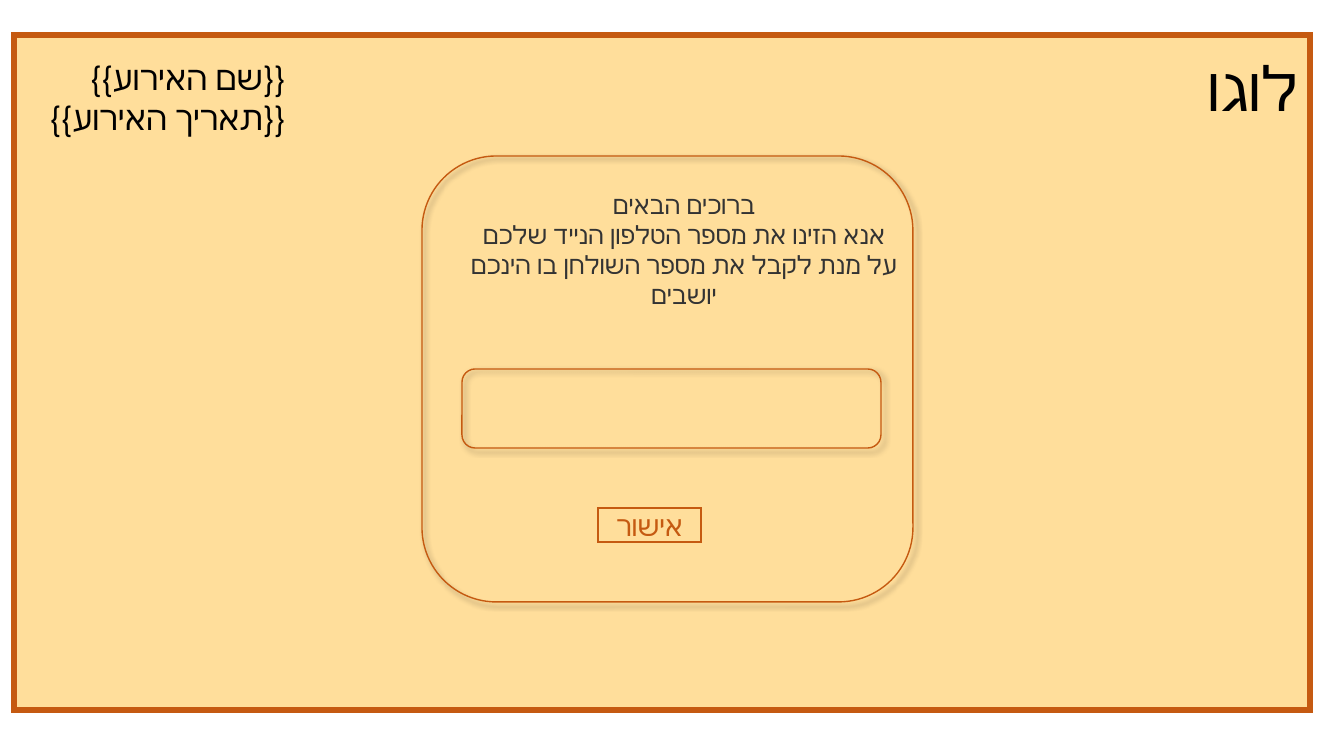
from dataclasses import dataclass

from lxml.etree import SubElement
from pptx import Presentation
from pptx.dml.color import RGBColor
from pptx.enum.shapes import MSO_SHAPE as Kind
from pptx.enum.text import MSO_ANCHOR as Anchor, MSO_AUTO_SIZE as Fit, PP_ALIGN as Align
from pptx.oxml.ns import qn
from pptx.util import Emu, Pt

SCALE = 914400 / 100.8
HUES = {"cream": "FFDE9B", "rust": "C55A11", "ink": "000000",
        "gray": "333333", "edge": "D0CECE"}


@dataclass
class Box:
    """A place on the slide, in pixels."""
    left: int
    top: int
    width: int
    height: int

    def emu(self) -> list[Emu]:
        """Give the four lengths in EMU."""
        return [px(n) for n in (self.left, self.top, self.width, self.height)]


@dataclass
class Panel:
    """An outlined shape, plain or filled."""
    box: Box
    kind: Kind
    line: float
    fill: str | None = None
    shade: bool = False


@dataclass
class Label:
    """A free block of text."""
    box: Box
    text: str
    size: int
    hue: str = "ink"
    font: str = "Calibri"
    align: Align = Align.RIGHT


def px(count: int) -> Emu:
    """Turn pixels into EMU."""
    return Emu(round(count * SCALE))


def color(name: str) -> RGBColor:
    """Look up a named colour."""
    return RGBColor.from_string(HUES[name])


def write(frame, text: str, *, size: int, hue: str, font: str = "Calibri",
          align: Align = Align.RIGHT, edge: str | None = None) -> None:
    """Put right-to-left text in a frame and format it."""
    frame.word_wrap = True
    para = frame.paragraphs[0]
    para.text = text
    para.alignment = align
    para._p.get_or_add_pPr().set("rtl", "1")
    for run in para.runs:
        run.font.size = Pt(size)
        run.font.color.rgb = color(hue)
        run.font.name = font
        props = run._r.get_or_add_rPr()
        props.set("lang", "he-IL")
        if edge:
            line = SubElement(props, qn("a:ln"), w=str(Pt(0.75)))
            fill = SubElement(line, qn("a:solidFill"))
            SubElement(fill, qn("a:srgbClr"), val=HUES[edge])
            props.insert(0, line)


def cast(shape) -> None:
    """Give a shape a soft shadow to the lower right."""
    list_ = shape._element.spPr.find(qn("a:effectLst"))
    drop = SubElement(list_, qn("a:outerShdw"), blurRad=str(Pt(4)), dist=str(Pt(3)),
                      dir=str(45 * 60000), algn="tl", rotWithShape="0")
    tint = SubElement(drop, qn("a:srgbClr"), val=HUES["ink"])
    SubElement(tint, qn("a:alpha"), val="40000")


def draw(slide, panel: Panel):
    """Add a panel with sharp line joins and return its shape."""
    shape = slide.shapes.add_shape(panel.kind, *panel.box.emu())
    shape.shadow.inherit = False
    if panel.fill:
        shape.fill.solid()
        shape.fill.fore_color.rgb = color(panel.fill)
    else:
        shape.fill.background()
    shape.line.color.rgb = color("rust")
    shape.line.width = Pt(panel.line)
    SubElement(shape._element.spPr.find(qn("a:ln")), qn("a:miter"), lim="800000")
    if panel.shade:
        cast(shape)
    return shape


def place(slide, label: Label) -> None:
    """Add a text box for a label."""
    frame = slide.shapes.add_textbox(*label.box.emu()).text_frame
    write(frame, label.text, size=label.size, hue=label.hue,
          font=label.font, align=label.align)
    frame.auto_size = Fit.SHAPE_TO_FIT_TEXT


FRAME = Panel(Box(14, 35, 1296, 675), Kind.RECTANGLE, 4.5, "cream")
CARD = Panel(Box(422, 156, 491, 446), Kind.ROUNDED_RECTANGLE, 1, shade=True)
FIELD = Panel(Box(462, 369, 419, 79), Kind.ROUNDED_RECTANGLE, 1, shade=True)
BUTTON = Panel(Box(598, 508, 103, 34), Kind.RECTANGLE, 1.5, "cream")
LOGO = Label(Box(995, 45, 314, 85), "לוגו", 44)
EVENT = Label(Box(0, 52, 295, 132), "{{שם האירוע}}\v{{תאריך האירוע}}", 24)
GREETING = Label(
    Box(454, 184, 460, 163),
    "ברוכים הבאים\vאנא הזינו את מספר הטלפון הנייד שלכם\v"
    "על מנת לקבל את מספר השולחן בו הינכם יושבים",
    18, "gray", "TeX Gyre Adventor", Align.CENTER)


def main() -> None:
    """Build the slide and save it."""
    deck = Presentation()
    deck.slide_width, deck.slide_height = px(1344), px(756)
    slide = deck.slides.add_slide(deck.slide_layouts[6])
    draw(slide, FRAME)
    place(slide, LOGO)
    place(slide, EVENT)
    draw(slide, CARD)
    place(slide, GREETING)
    draw(slide, FIELD)
    frame = draw(slide, BUTTON).text_frame
    frame.vertical_anchor = Anchor.MIDDLE
    write(frame, "אישור", size=20, hue="rust", align=Align.CENTER, edge="edge")
    deck.save("out.pptx")


main()
